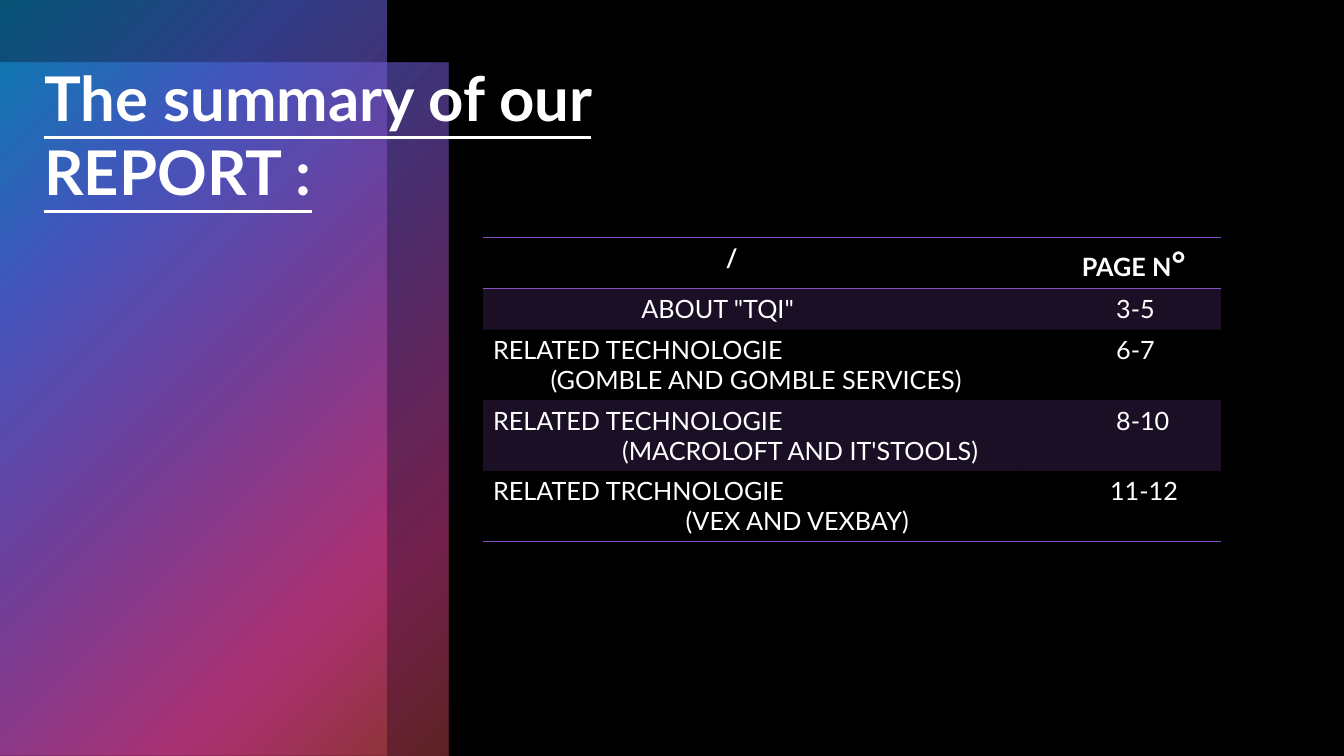
import pptx
import pptx.util
import pptx.dml.color
import pptx.enum.shapes
import pptx.enum.text
import pptx.oxml
import pptx.oxml.ns
from pptx.util import Inches

NS = pptx.oxml.ns.nsdecls("a")
WHITE, BLACK, PURPLE = "FFFFFF", "000000", "894EC0"
STOPS = [(0, "0BA5E8", 50), (25, "5066E1", 60), (50, PURPLE, 55),
         (81, "E54196", 50), (99, "BE4449", 50)]
BANDS = [(0, 0.62, 4.45, 6.88), (0, 0, 3.83, 7.5)]
PLAIN = "{2D5ABB26-0587-4C30-8999-92F81FD0307C}"
COLS = [5.35, 1.97]
HIGH = [0.5, 0.41, 0.7, 0.7, 0.7]
ROWS = [
    ([("/", 2.31)], [("PAGE N°", 0.49)]),
    ([('ABOUT "TQI"', 1.47)], [("3-5", 0.83)]),
    ([("RELATED TECHNOLOGIE", 0), ("(GOMBLE AND GOMBLE SERVICES)", 0.57)],
     [("6-7", 0.83)]),
    ([("RELATED TECHNOLOGIE", 0), ("(MACROLOFT AND IT'STOOLS)", 1.28)],
     [("8-10", 0.83)]),
    ([("RELATED TRCHNOLOGIE", 0), ("(VEX AND VEXBAY)", 1.91)],
     [("11-12", 0.77)]),
]


def color(code):
    """Turn a hex string into a colour."""
    return pptx.dml.color.RGBColor.from_string(code)


def tint(code, alpha):
    """Give the XML of a colour with an opacity in percent."""
    return f'<a:srgbClr val="{code}"><a:alpha val="{alpha * 1000}"/></a:srgbClr>'


def style(font, **extra):
    """Set the font from format values."""
    form = {"name": "Lato", "size": pptx.util.Pt(18), "bold": False, **extra}
    for key, value in form.items():
        setattr(font, key, value)
    font.color.rgb = color(WHITE)


def add_title(slide, text, box):
    """Place and format the title, and return it."""
    title = slide.shapes.title
    for key, value in zip(("left", "top", "width", "height"), box):
        setattr(title, key, Inches(value))
    frame = title.text_frame
    frame.text = text
    form = {"word_wrap": True, "margin_bottom": Inches(0.19),
            "auto_size": pptx.enum.text.MSO_AUTO_SIZE.NONE,
            "vertical_anchor": pptx.enum.text.MSO_ANCHOR.MIDDLE}
    for key, value in form.items():
        setattr(frame, key, value)
    line = frame.paragraphs[0]
    line.alignment = pptx.enum.text.PP_ALIGN.LEFT
    style(line.runs[0].font, size=pptx.util.Pt(44), bold=True, underline=True)
    return title


def add_band(slide, title, box):
    """Draw a translucent gradient band behind the title."""
    band = slide.shapes.add_shape(pptx.enum.shapes.MSO_SHAPE.RECTANGLE,
                                  *map(Inches, box))
    band.shadow.inherit = False
    band.line.fill.background()
    stops = "".join(f'<a:gs pos="{pos * 1000}">{tint(code, alpha)}</a:gs>'
                    for pos, code, alpha in STOPS)
    fill = pptx.oxml.parse_xml(
        f'<a:gradFill {NS} rotWithShape="1"><a:gsLst>{stops}</a:gsLst>'
        '<a:path path="circle"><a:fillToRect r="100000" b="100000"/></a:path>'
        '</a:gradFill>')
    band._element.spPr.find(pptx.oxml.ns.qn("a:prstGeom")).addnext(fill)
    title._element.addprevious(band._element)


def set_cell(cell, lines, head):
    """Write indented lines into a cell."""
    frame = cell.text_frame
    frame.text = "\n".join(text for text, _ in lines)
    for para, (_, dent) in zip(frame.paragraphs, lines):
        para._p.get_or_add_pPr().set("marL", str(Inches(dent)))
        style(para.runs[0].font, bold=head)


def dress(cell, edges, shade):
    """Set the borders and the fill of a cell."""
    props = cell._tc.get_or_add_tcPr()
    for edge in edges:
        props.append(pptx.oxml.parse_xml(
            f'<a:{edge} {NS} w="12700"><a:solidFill>{tint(PURPLE, 100)}'
            f'</a:solidFill></a:{edge}>'))
    fill = f"<a:solidFill {NS}>{tint(PURPLE, 20)}</a:solidFill>"
    props.append(pptx.oxml.parse_xml(fill if shade else f"<a:noFill {NS}/>"))


def add_grid(slide, left, top):
    """Add the table of topics and page numbers."""
    grid = slide.shapes.add_table(
        len(ROWS), len(COLS), Inches(left), Inches(top),
        Inches(sum(COLS)), Inches(sum(HIGH))).table
    grid._tbl.tblPr.find(pptx.oxml.ns.qn("a:tableStyleId")).text = PLAIN
    grid.horz_banding = False
    for col, width in zip(grid.columns, COLS):
        col.width = Inches(width)
    edges = {0: ["lnT", "lnB"], len(ROWS) - 1: ["lnB"]}
    for num, (row, high, cells) in enumerate(zip(grid.rows, HIGH, ROWS)):
        row.height = Inches(high)
        for cell, lines in zip(row.cells, cells):
            set_cell(cell, lines, num == 0)
            dress(cell, edges.get(num, []), num % 2 == 1)
    para = grid.cell(0, 1).text_frame.paragraphs[0]
    para.runs[0].text = "PAGE N"
    sign = para.add_run()
    sign.text = "°"
    style(sign.font, size=pptx.util.Pt(24), bold=True)


def main():
    """Build the summary slide."""
    deck = pptx.Presentation()
    deck.slide_width, deck.slide_height = Inches(13.33), Inches(7.5)
    slide = deck.slides.add_slide(deck.slide_layouts.get_by_name("Title Only"))
    back = slide.background.fill
    back.solid()
    back.fore_color.rgb = color(BLACK)
    title = add_title(slide, "The summary of our REPORT :",
                      (0.34, 0.55, 7.03, 1.7))
    for box in BANDS:
        add_band(slide, title, box)
    add_grid(slide, 4.79, 2.36)
    deck.save("out.pptx")


if __name__ == "__main__":
    main()
